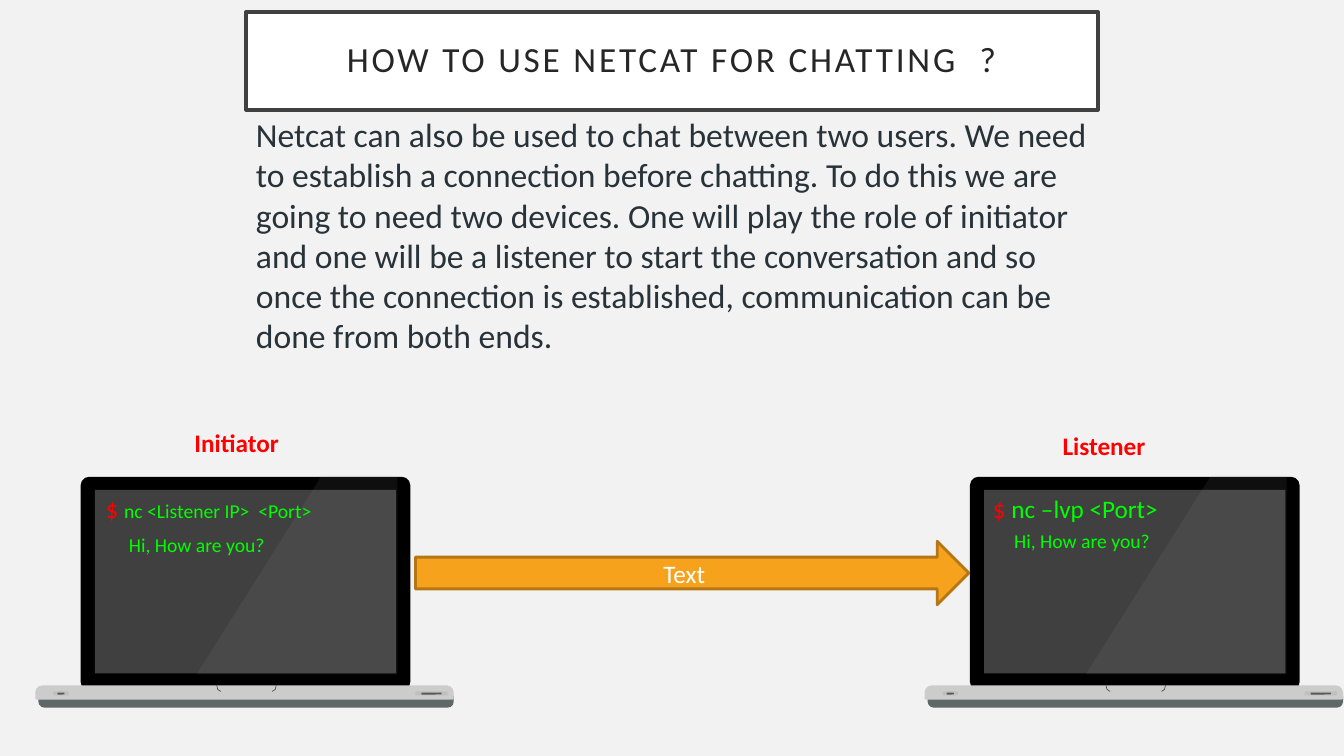
from lxml import etree
from pptx import Presentation
from pptx.dml.color import RGBColor
from pptx.enum.shapes import MSO_SHAPE
from pptx.enum.text import MSO_ANCHOR, PP_ALIGN
from pptx.oxml.ns import qn
from pptx.util import Inches, Pt

RECT = MSO_SHAPE.RECTANGLE
ROUND = MSO_SHAPE.ROUNDED_RECTANGLE
TOP = MSO_SHAPE.ROUND_2_SAME_RECTANGLE
ARROW = MSO_SHAPE.RIGHT_ARROW
LEFT, MID = PP_ALIGN.LEFT, PP_ALIGN.CENTER
HIGH, CORE = MSO_ANCHOR.TOP, MSO_ANCHOR.MIDDLE

FONT = "Calibri"
HEX = {
    "page": "F2F2F2", "white": "FFFFFF", "edge": "404040", "title": "262626",
    "body": "273239", "red": "FF0000", "green": "00FF00", "gold": "F6A21D",
    "rim": "B57715", "black": "000000", "under": "5F6767", "base": "CCCCCC",
    "port": "BFBFBF", "slot": "595959", "notch": "4D4D4D", "glare": "999999",
}
BODY = (
    "Netcat can also be used to chat between two users. We need to establish "
    "a connection before chatting. To do this we are going to need two devices. "
    "One will play the role of initiator and one will be a listener to start "
    "the conversation and so once the connection is established, communication "
    "can be done from both ends."
)
CHAT = "Hi, How are you?"
STEP = 8.82


def color(name):
    return RGBColor.from_string(HEX[name])


def paint(shape, fill=None, line=None, width=1):
    shape.shadow.inherit = False
    if fill:
        shape.fill.solid()
        shape.fill.fore_color.rgb = color(fill)
    else:
        shape.fill.background()
    if line:
        shape.line.color.rgb = color(line)
        shape.line.width = Pt(width)
    else:
        shape.line.fill.background()
    return shape


def block(slide, kind, box, adjust=(), **look):
    shape = slide.shapes.add_shape(kind, *map(Inches, box))
    for i, value in enumerate(adjust):
        shape.adjustments[i] = value
    return paint(shape, **look)


def outline(slide, points, close=True, **look):
    spots = [(Inches(x), Inches(y)) for x, y in points]
    pen = slide.shapes.build_freeform(*spots[0])
    pen.add_line_segments(spots[1:], close=close)
    return paint(pen.convert_to_shape(), **look)


def write(shape, runs, align=LEFT, anchor=HIGH, pad=(0.1, 0.05), bold=False,
          space=None, gap=None):
    """Fill a shape with runs of (text, size, colour name)."""
    frame = shape.text_frame
    frame.word_wrap = True
    frame.vertical_anchor = anchor
    frame.margin_left = frame.margin_right = Inches(pad[0])
    frame.margin_top = frame.margin_bottom = Inches(pad[1])
    para = frame.paragraphs[0]
    para.alignment = align
    if space:
        para.line_spacing = space
    for text, size, tint in runs:
        run = para.add_run()
        run.text = text
        run.font.name = FONT
        run.font.size = Pt(size)
        run.font.bold = bold
        run.font.color.rgb = color(tint)
        if gap:
            run.font._element.set("spc", str(gap * 100))


def label(slide, box, *runs, **look):
    write(slide.shapes.add_textbox(*map(Inches, box)), runs, **look)


def laptop(slide, x):
    keel = block(slide, TOP, (x + 0.38, 6.9, 4.12, 0.12), (0.5, 0), fill="under")
    keel.rotation = 180
    block(slide, ROUND, (x + 0.8, 4.73, 3.27, 2.12), (0.04,), fill="black")
    block(slide, RECT, (x + 0.94, 4.86, 2.99, 1.82), fill="edge")
    block(slide, TOP, (x + 0.35, 6.8, 4.15, 0.14), (0.5, 0.1), fill="base")
    for side, turn in ((2.15, 1), (2.74, -1)):
        curve = ((0, 6.8), (0.01, 6.84), (0.04, 6.86))
        points = [(x + side + turn * dx, y) for dx, y in curve]
        outline(slide, points, close=False, line="notch", width=0.5)
    for left, wide, inset in ((0.53, 0.15, 0.04), (4.12, 0.32, 0.06)):
        block(slide, ROUND, (x + left, 6.86, wide, 0.04), (0.28,), fill="port")
        slot = (x + left + inset, 6.87, wide - 2 * inset, 0.02)
        block(slide, ROUND, slot, (0.28,), fill="slot")
    corners = ((3.19, 4.72), (3.94, 4.72), (3.94, 6.69), (1.95, 6.69))
    glare = outline(slide, [(x + dx, y) for dx, y in corners], fill="glare")
    tint = glare._element.spPr.find(qn("a:solidFill"))[0]
    etree.SubElement(tint, qn("a:alpha")).set("val", "10000")


def main():
    deck = Presentation()
    deck.slide_width, deck.slide_height = Inches(13.33), Inches(7.5)
    slide = deck.slides.add_slide(deck.slide_layouts[6])
    slide.background.fill.solid()
    slide.background.fill.fore_color.rgb = color("page")

    title = block(slide, RECT, (2.44, 0.12, 8.45, 0.97),
                  fill="white", line="edge", width=2.5)
    write(title, [("HOW TO USE NETCAT FOR CHATTING  ?", 25.2, "title")],
          align=MID, anchor=CORE, pad=(0.2, 0.2), space=0.9, gap=2)
    for x in (0, STEP):
        laptop(slide, x)

    label(slide, (2.44, 1.08, 8.45, 2.9), (BODY, 24, "body"))
    label(slide, (1.83, 4.19, 1.52, 0.4), ("Initiator", 18, "red"), bold=True)
    label(slide, (10.44, 4.22, 1.56, 0.4), ("Listener", 18, "red"), bold=True)
    sign = ("$ ", 18, "red")
    label(slide, (0.95, 4.84, 2.99, 0.4), sign,
          ("nc <Listener IP>  <Port>", 14, "green"))
    label(slide, (9.75, 4.84, 2.99, 0.4), sign, ("nc –lvp <Port>", 18, "green"))
    for x, y in ((1.18, 5.24), (9.96, 5.2)):
        label(slide, (x, y, 1.98, 0.33), (CHAT, 14, "green"))

    arrow = block(slide, ARROW, (4.12, 5.37, 5.49, 0.63),
                  fill="gold", line="rim", width=2)
    write(arrow, [("Text", 18, "white")], align=MID, anchor=CORE)
    deck.save("out.pptx")


if __name__ == "__main__":
    main()
